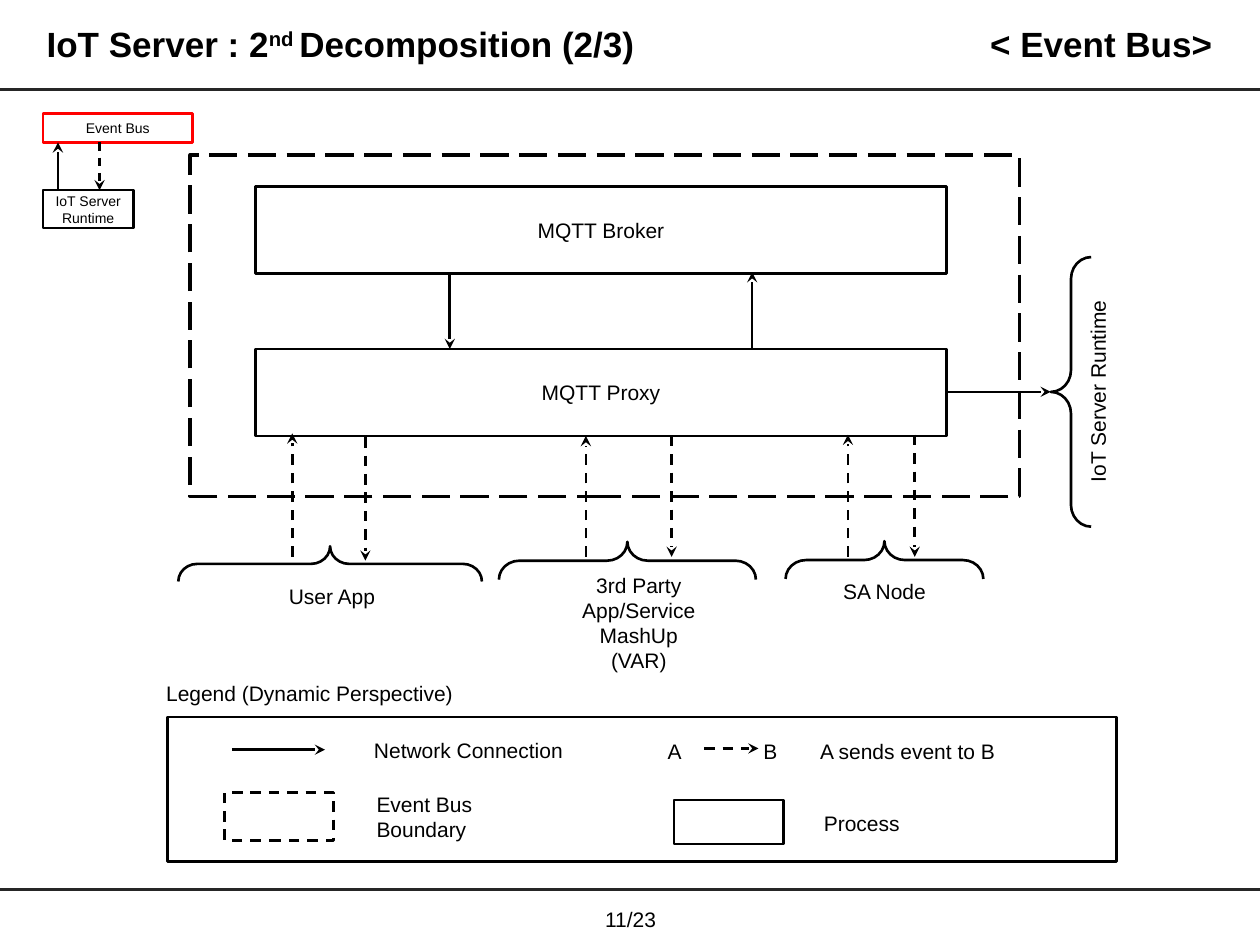
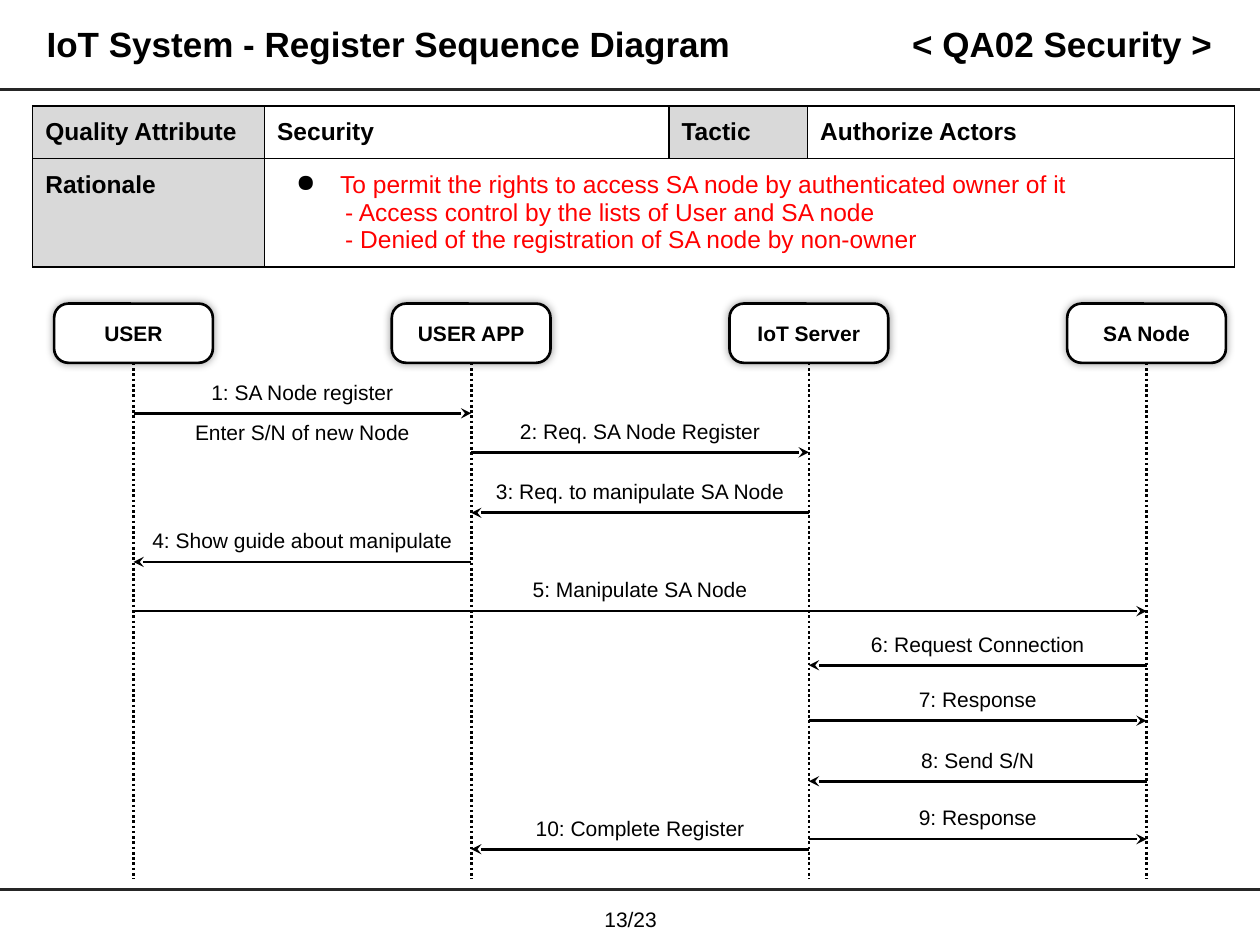
from lxml.etree import SubElement
from pptx import Presentation
from pptx.dml.color import RGBColor
from pptx.enum.dml import MSO_LINE
from pptx.enum.shapes import MSO_CONNECTOR, MSO_SHAPE
from pptx.enum.text import MSO_ANCHOR, MSO_AUTO_SIZE, PP_ALIGN
from pptx.oxml.ns import qn
from pptx.util import Inches, Pt

COLORS = {"black": "000000", "white": "FFFFFF", "rule": "262626", "red": "FF0000", "grey": "D9D9D9"}
FONT = "Arial"
DASH, LONG_DASH, DOT = MSO_LINE.DASH, MSO_LINE.LONG_DASH, MSO_LINE.ROUND_DOT
LEFT, CENTER, RIGHT = PP_ALIGN.LEFT, PP_ALIGN.CENTER, PP_ALIGN.RIGHT
TITLE_FORMAT = {"size": 20, "bold": True}

EVENT_BUS = {
    "title": [("IoT Server : 2", 0), ("nd ", 30000), ("Decomposition (2/3)", 0)],
    "title_width": 6.18,
    "topic": "< Event Bus>",
    "page": "11/23",
}
SECURITY = {
    "title": [("IoT System - Register Sequence Diagram", 0)],
    "title_width": 8.52,
    "topic": "< QA02 Security >",
    "page": "13/23",
}

FRAMES = [
    ((1.33, 5.69, 7.53, 1.15), 1.5, None),
    ((1.51, 1.23, 6.58, 2.71), 2, LONG_DASH),
    ((5.35, 6.35, 0.87, 0.35), 1.5, None),
    ((1.78, 6.29, 0.87, 0.38), 1.5, DASH),
]
PROCESSES = [("MQTT Broker", 1.48), ("MQTT Proxy", 2.77)]
OVERVIEW = [
    ("IoT Server Runtime", (0.34, 1.51, 0.72, 0.3), "black", 1.25),
    ("Event Bus", (0.34, 0.9, 1.19, 0.23), "red", 1.5),
]
CLIENTS = [
    ("User App", (1.13, 4.38, 3.01, 0.71)),
    ("3rd Party App/Service MashUp\n(VAR)", (4.36, 4.53, 1.42, 0.82)),
    ("SA Node", (6.36, 4.35, 1.32, 0.69)),
]
BRACES = [
    ((2.48, 3.27, 0.28, 2.41), 270),
    ((4.83, 3.43, 0.3, 2.04), 270),
    ((6.87, 3.66, 0.3, 1.57), 270),
    ((8.34, 2.04, 0.32, 2.14), 180),
]
LEGEND_TEXTS = [
    ("Legend (Dynamic Perspective)", (1.22, 5.3, 3.32, 0.31)),
    ("Network Connection", (2.87, 5.75, 2.33, 0.38)),
    ("A", (5.2, 5.76, 0.34, 0.38)),
    ("B", (5.96, 5.76, 0.34, 0.38)),
    ("A sends event to B", (6.41, 5.76, 2.19, 0.38)),
    ("Event Bus\nBoundary", (2.89, 6.18, 2.33, 0.38)),
    ("Process", (6.44, 6.33, 1.87, 0.38)),
]
NETWORK_ARROWS = [
    ((7.52, 3.11), (8.34, 3.11), 1.5),
    ((3.57, 2.16), (3.57, 2.77), 1.5),
    ((5.97, 2.77), (5.97, 2.16), 1.5),
    ((1.84, 5.95), (2.58, 5.95), 1.5),
    ((0.46, 1.51), (0.46, 1.13), 1.25),
]
EVENT_ARROWS = [
    ((2.32, 4.42), (2.32, 3.44), 1.5),
    ((2.9, 3.47), (2.9, 4.45), 1.5),
    ((4.65, 4.42), (4.65, 3.46), 1.5),
    ((5.33, 3.46), (5.33, 4.42), 1.5),
    ((6.73, 4.42), (6.73, 3.45), 1.5),
    ((7.26, 3.45), (7.26, 4.42), 1.5),
    ((5.59, 5.94), (6.02, 5.94), 1.5),
    ((0.79, 1.13), (0.79, 1.51), 1.25),
]

TABLE_COLUMNS = [1.84, 3.21, 1.1, 3.39]
TABLE_ROWS = [0.41, 0.86]
TABLE_TEXTS = [["Quality Attribute", "Security", "Tactic", "Authorize Actors"], ["Rationale", "", "", ""]]
LABEL_CELLS = {(0, 0), (0, 2), (1, 0)}
RATIONALE = [
    "To permit the rights to access SA node by authenticated owner of it",
    "- Access control by the lists of User and SA node",
    "- Denied of the registration of SA node by non-owner",
]

ACTORS = ["USER", "USER APP", "IoT Server", "SA Node"]
LANE_START, LANE_GAP, LANE_TOP, LANE_BOTTOM = 1.06, 2.68, 2.88, 6.98
ACTOR_WIDTH, ACTOR_HEIGHT = 1.26, 0.47
MESSAGES = [
    ("1: SA Node register", 0, 1, 3.28),
    ("2: Req. SA Node Register", 1, 2, 3.59),
    ("3: Req. to manipulate SA Node", 2, 1, 4.07),
    ("4: Show guide about manipulate", 1, 0, 4.46),
    ("5: Manipulate SA Node", 0, 3, 4.85),
    ("6: Request Connection", 3, 2, 5.28),
    ("7: Response", 2, 3, 5.72),
    ("8: Send S/N", 3, 2, 6.2),
    ("9: Response", 2, 3, 6.66),
    ("10: Complete Register", 2, 1, 6.74),
]


def color(name):
    return RGBColor.from_string(COLORS[name])


def assign(target, values):
    for name, value in values.items():
        setattr(target, name, value)


def format_run(run, size=12, bold=False, ink="black"):
    assign(run.font, {"name": FONT, "size": Pt(size), "bold": bold})
    run.font.color.rgb = color(ink)


def write(shape, text, align=LEFT, anchor=MSO_ANCHOR.TOP, inset=0.1, **style):
    frame = shape.text_frame
    frame.text = text
    assign(frame, {
        "word_wrap": True, "auto_size": MSO_AUTO_SIZE.NONE, "vertical_anchor": anchor,
        "margin_left": Inches(0.1), "margin_right": Inches(0.1),
        "margin_top": Inches(inset), "margin_bottom": Inches(inset),
    })
    for paragraph in frame.paragraphs:
        paragraph.alignment = align
        for run in paragraph.runs:
            format_run(run, **style)


def add_text(slide, text, box, **style):
    shape = slide.shapes.add_textbox(*map(Inches, box))
    write(shape, text, **style)
    return shape


def style_line(line, ink, width, dash):
    line.color.rgb = color(ink)
    line.width = Pt(width)
    if dash:
        line.dash_style = dash


def add_box(slide, box, kind=MSO_SHAPE.RECTANGLE, fill=None, ink="black", width=1.5, dash=None):
    shape = slide.shapes.add_shape(kind, *map(Inches, box))
    shape.shadow.inherit = False
    if fill:
        shape.fill.solid()
        shape.fill.fore_color.rgb = color(fill)
    else:
        shape.fill.background()
    if width:
        style_line(shape.line, ink, width, dash)
    else:
        shape.line.fill.background()
    return shape


def add_label_box(slide, text, box, size=12, bold=False, inset=0.1, **look):
    shape = add_box(slide, box, fill="white", **look)
    write(shape, text, CENTER, MSO_ANCHOR.MIDDLE, inset, size=size, bold=bold)
    return shape


def add_line(slide, start, end, width=1.5, ink="black", dash=None, arrow=False):
    points = map(Inches, (*start, *end))
    connector = slide.shapes.add_connector(MSO_CONNECTOR.STRAIGHT, *points)
    style_line(connector.line, ink, width, dash)
    properties = connector.element.spPr
    if arrow:
        SubElement(properties.find(qn("a:ln")), qn("a:tailEnd"), type="stealth")
    SubElement(properties, qn("a:effectLst"))


def add_base(presentation, content):
    slide = presentation.slides.add_slide(presentation.slide_layouts[5])
    for y in (0.71, 7.06):
        add_line(slide, (0, y), (10, y), 1.75, "rule")
    title = slide.shapes.title
    box = map(Inches, (0.27, 0.1, content["title_width"], 0.53))
    assign(title, dict(zip(("left", "top", "width", "height"), box)))
    write(title, "", anchor=MSO_ANCHOR.MIDDLE, inset=0.05)
    paragraph = title.text_frame.paragraphs[0]
    paragraph.line_spacing = 0.9
    for text, baseline in content["title"]:
        run = paragraph.add_run()
        run.text = text
        format_run(run, **TITLE_FORMAT)
        if baseline:
            run.font._element.set("baseline", str(baseline))
    topic = add_text(slide, content["topic"], (6.67, 0.1, 3.05, 0.53), align=RIGHT,
                     anchor=MSO_ANCHOR.MIDDLE, inset=0.05, **TITLE_FORMAT)
    topic.text_frame.paragraphs[0].line_spacing = 0.9
    add_text(slide, content["page"], (4.62, 7.14, 0.77, 0.31), align=CENTER,
             anchor=MSO_ANCHOR.MIDDLE, inset=0.05)
    return slide


def build_event_bus(presentation):
    slide = add_base(presentation, EVENT_BUS)
    for text, box in CLIENTS:
        add_label_box(slide, text, box, width=0)
    for box, width, dash in FRAMES:
        add_box(slide, box, width=width, dash=dash)
    for text, top in PROCESSES:
        add_label_box(slide, text, (2.03, top, 5.48, 0.69))
    runtime = add_label_box(slide, "IoT Server Runtime", (7.63, 2.91, 2.16, 0.39), width=0)
    runtime.rotation = 270
    for box, rotation in BRACES:
        brace = add_box(slide, box, MSO_SHAPE.RIGHT_BRACE)
        brace.rotation = rotation
        brace.adjustments[0] = 0.54
    for text, box in LEGEND_TEXTS:
        add_text(slide, text, box)
    for text, box, ink, width in OVERVIEW:
        add_label_box(slide, text, box, size=8, ink=ink, width=width)
    for arrows, dash in ((NETWORK_ARROWS, None), (EVENT_ARROWS, DASH)):
        for start, end, width in arrows:
            add_line(slide, start, end, width, dash=dash, arrow=True)


def add_borders(cell):
    properties = cell._tc.get_or_add_tcPr()
    for position, side in enumerate(("a:lnL", "a:lnR", "a:lnT", "a:lnB")):
        border = SubElement(properties, qn(side), w=str(Pt(1)))
        fill = SubElement(border, qn("a:solidFill"))
        SubElement(fill, qn("a:srgbClr"), val=COLORS["black"])
        properties.insert(position, border)


def add_attribute_table(slide):
    box = (0.26, 0.84, sum(TABLE_COLUMNS), sum(TABLE_ROWS))
    table = slide.shapes.add_table(2, 4, *map(Inches, box)).table
    assign(table, {"first_row": False, "horz_banding": False})
    for column, width in zip(table.columns, TABLE_COLUMNS):
        column.width = Inches(width)
    for row, height in zip(table.rows, TABLE_ROWS):
        row.height = Inches(height)
    for r, texts in enumerate(TABLE_TEXTS):
        for c, text in enumerate(texts):
            cell = table.cell(r, c)
            cell.text = text
            assign(cell, dict.fromkeys(("margin_left", "margin_right", "margin_top", "margin_bottom"), Inches(0.1)))
            cell.fill.solid()
            cell.fill.fore_color.rgb = color("grey" if (r, c) in LABEL_CELLS else "white")
            add_borders(cell)
            for run in cell.text_frame.paragraphs[0].runs:
                format_run(run, 14, True)
    rationale = table.cell(1, 1)
    rationale.merge(table.cell(1, 3))
    rationale.text = "\n".join(RATIONALE)
    for index, paragraph in enumerate(rationale.text_frame.paragraphs):
        properties = paragraph._p.get_or_add_pPr()
        if index == 0:
            properties.set("marL", str(Inches(0.5)))
            properties.set("indent", str(Inches(-0.35)))
            bullet_color = SubElement(properties, qn("a:buClr"))
            SubElement(bullet_color, qn("a:srgbClr"), val=COLORS["black"])
            SubElement(properties, qn("a:buChar"), char="●")
        else:
            properties.set("marL", str(Inches(0.54)))
            properties.set("indent", "0")
        format_run(paragraph.runs[0], 14, ink="red")


def add_soft_shadow(shape):
    effects = shape.element.spPr.find(qn("a:effectLst"))
    shadow = SubElement(effects, qn("a:outerShdw"), blurRad=str(Pt(5)), dist="0", dir="0", algn="ctr", rotWithShape="0")
    shade = SubElement(shadow, qn("a:srgbClr"), val=COLORS["black"])
    SubElement(shade, qn("a:alpha"), val="40000")


def build_security(presentation):
    slide = add_base(presentation, SECURITY)
    add_attribute_table(slide)
    lanes = [LANE_START + LANE_GAP * index for index in range(len(ACTORS))]
    for actor, x in zip(ACTORS, lanes):
        box = (x - ACTOR_WIDTH / 2, LANE_TOP - ACTOR_HEIGHT, ACTOR_WIDTH, ACTOR_HEIGHT)
        shape = add_label_box(slide, actor, box, bold=True, inset=0.05, kind=MSO_SHAPE.ROUNDED_RECTANGLE)
        shape.adjustments[0] = 0.24
        add_soft_shadow(shape)
        add_line(slide, (x, LANE_TOP), (x, LANE_BOTTOM), dash=DOT)
    for text, source, target, y in MESSAGES:
        start, end = lanes[source], lanes[target]
        add_line(slide, (start, y), (end, y), arrow=True)
        add_text(slide, text, (min(start, end), y - 0.32, abs(end - start), 0.3), align=CENTER, inset=0.05)
    add_text(slide, "Enter S/N of new Node", (lanes[0], 3.28, LANE_GAP, 0.3), align=CENTER, inset=0.05)


def main():
    presentation = Presentation()
    assign(presentation, {"slide_width": Inches(10), "slide_height": Inches(7.5)})
    build_event_bus(presentation)
    build_security(presentation)
    presentation.save("out.pptx")


if __name__ == "__main__":
    main()
